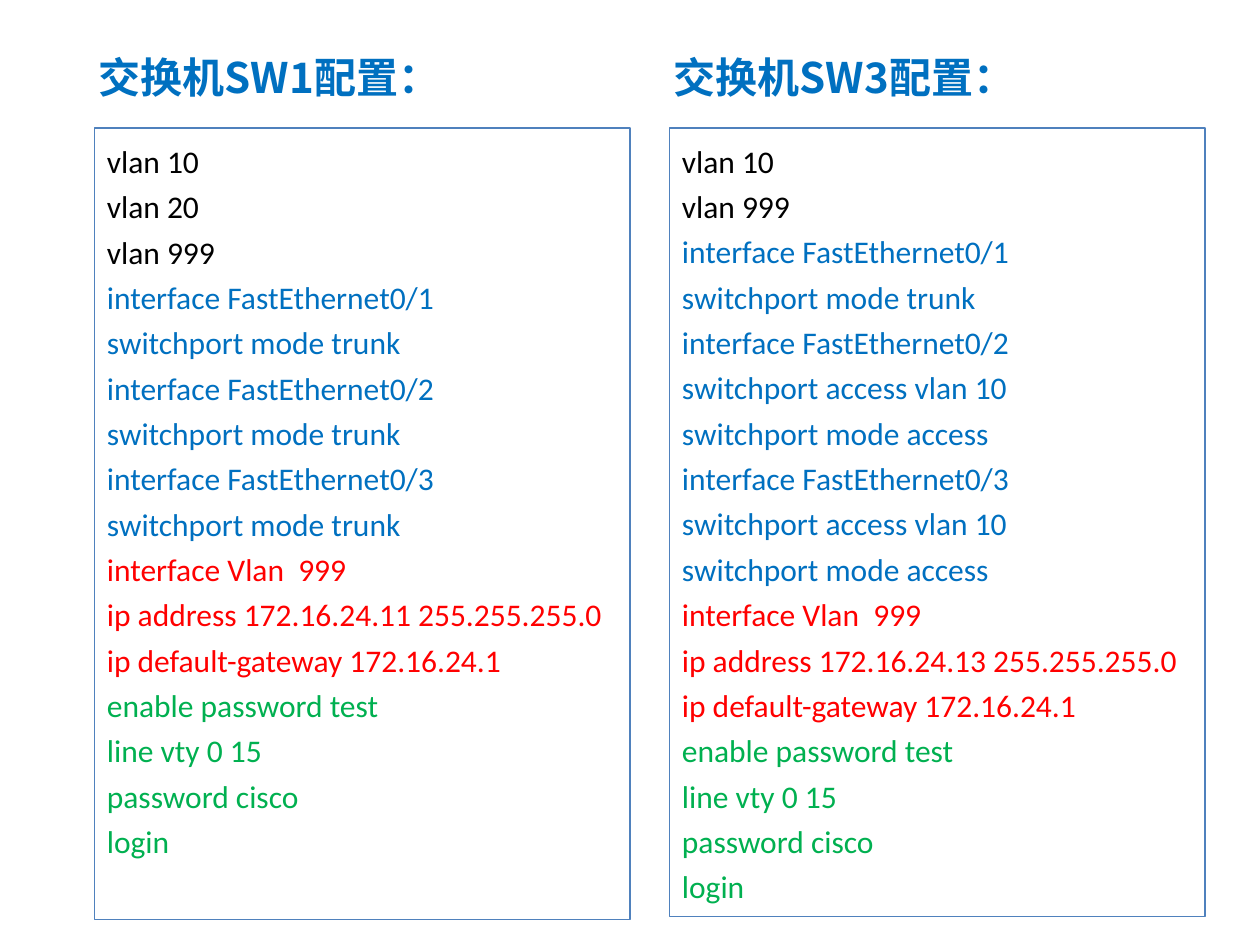
from pptx import Presentation
from pptx.dml.color import RGBColor
from pptx.enum.shapes import MSO_SHAPE
from pptx.enum.text import MSO_ANCHOR, MSO_AUTO_SIZE, PP_ALIGN
from pptx.oxml.ns import qn
from pptx.util import Pt
from lxml.etree import SubElement

BLACK = RGBColor(0x00, 0x00, 0x00)
BLUE = RGBColor(0x00, 0x70, 0xC0)
RED = RGBColor(0xFF, 0x00, 0x00)
GREEN = RGBColor(0x00, 0xB0, 0x50)
BORDER = RGBColor(0x4F, 0x81, 0xBD)

TITLE_FONT = {"name": "Noto Sans CJK SC", "size": Pt(24), "bold": True}
CODE_FONT = {"name": "Calibri", "size": Pt(18)}

LOGIN = ["enable password test", "line vty 0 15", "password cisco", "login"]


def management(address):
    return ["interface Vlan  999", f"ip address {address} 255.255.255.0",
            "ip default-gateway 172.16.24.1"]


TRUNK = ["switchport mode trunk"]
ACCESS = ["switchport access vlan 10", "switchport mode access"]


def ports(*modes):
    """Number the ports from 1 and list each one's commands."""
    return [line for number, mode in enumerate(modes, 1)
            for line in [f"interface FastEthernet0/{number}", *mode]]


SWITCHES = [
    {"title": "交换机SW1配置：", "height": 452.2, "sections": [
        (BLACK, ["vlan 10", "vlan 20", "vlan 999"]),
        (BLUE, ports(TRUNK, TRUNK, TRUNK)),
        (RED, management("172.16.24.11")),
        (GREEN, LOGIN)]},
    {"title": "交换机SW3配置：", "height": 450.7, "sections": [
        (BLACK, ["vlan 10", "vlan 999"]),
        (BLUE, ports(TRUNK, ACCESS, ACCESS)),
        (RED, management("172.16.24.13")),
        (GREEN, LOGIN)]},
]

FIRST_LEFT, COLUMN_STEP = 54, 328.6
BOX_TOP, BOX_WIDTH = 73.2, 306
TITLE_TOP, TITLE_OUTDENT = 26, 4.7
TITLE_WIDTH, TITLE_HEIGHT = 197.3, 36


def set_attributes(target, values):
    for name, value in values.items():
        setattr(target, name, value)


def add_run(paragraph, text, font, color):
    run = paragraph.add_run()
    run.text = text
    set_attributes(run.font, font)
    run.font.color.rgb = color
    east_asian = SubElement(run.font._element, qn("a:ea"))
    east_asian.set("typeface", font["name"])


def add_title(slide, text, left):
    box = slide.shapes.add_textbox(Pt(left), Pt(TITLE_TOP),
                                   Pt(TITLE_WIDTH), Pt(TITLE_HEIGHT))
    box.text_frame.word_wrap = False
    add_run(box.text_frame.paragraphs[0], text, TITLE_FONT, BLUE)


def add_configuration(slide, sections, left, height):
    box = slide.shapes.add_shape(MSO_SHAPE.RECTANGLE, Pt(left), Pt(BOX_TOP),
                                 Pt(BOX_WIDTH), Pt(height))
    box.shadow.inherit = False
    box.fill.background()
    box.line.color.rgb = BORDER
    box.line.width = Pt(0.75)
    frame = box.text_frame
    set_attributes(frame, {"word_wrap": True, "vertical_anchor": MSO_ANCHOR.TOP,
                           "auto_size": MSO_AUTO_SIZE.NONE})
    lines = [(line, color) for color, group in sections for line in group]
    for index, (line, color) in enumerate(lines):
        paragraph = frame.add_paragraph() if index else frame.paragraphs[0]
        set_attributes(paragraph, {"alignment": PP_ALIGN.LEFT, "line_spacing": 1.2})
        add_run(paragraph, line, CODE_FONT, color)


def main():
    presentation = Presentation()
    presentation.slide_width, presentation.slide_height = Pt(720), Pt(540)
    slide = presentation.slides.add_slide(presentation.slide_layouts[6])
    for column, switch in enumerate(SWITCHES):
        left = FIRST_LEFT + column * COLUMN_STEP
        add_title(slide, switch["title"], left - TITLE_OUTDENT)
        add_configuration(slide, switch["sections"], left, switch["height"])
    presentation.save("out.pptx")


if __name__ == "__main__":
    main()
